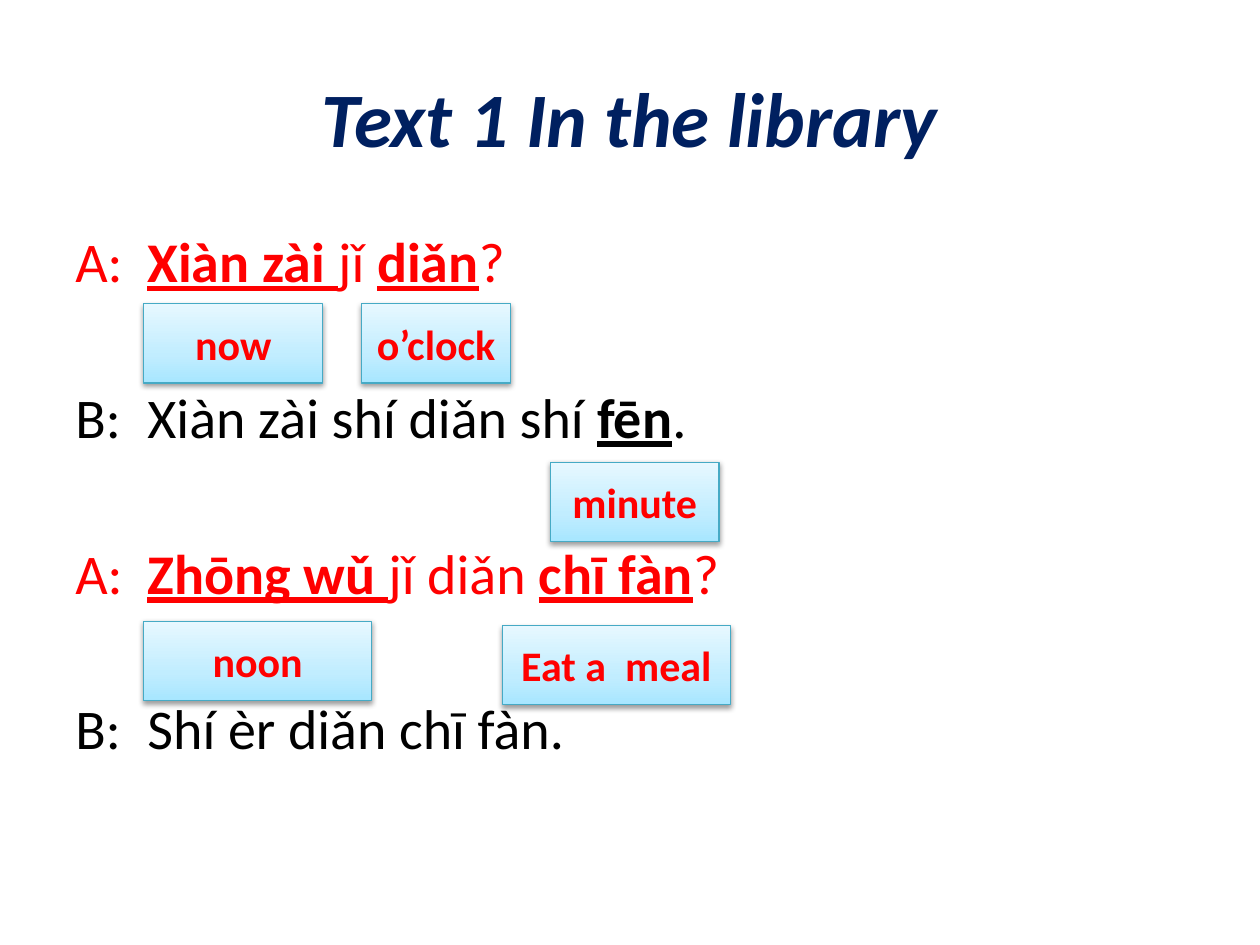
"""Build a dialogue slide with vocabulary labels under the new words."""
from lxml import etree
from pptx import Presentation
from pptx.dml.color import RGBColor
from pptx.enum.shapes import MSO_SHAPE
from pptx.enum.text import MSO_ANCHOR, PP_ALIGN
from pptx.oxml.ns import qn
from pptx.util import Pt

RECT = MSO_SHAPE.RECTANGLE
TOP, MIDDLE = MSO_ANCHOR.TOP, MSO_ANCHOR.MIDDLE
LEFT, CENTER = PP_ALIGN.LEFT, PP_ALIGN.CENTER

COLORS = {"title": "002060", "red": "FF0000", "black": "000000", "border": "46AAC5"}
GRADIENT = {0: "A7E6FF", 35: "C1EDFF", 100: "E7F8FF"}
LABEL_HEIGHT = 45.4
SPEAKER_INDENT = 41.2

DIALOGUE = [
    ("red", [("A:\t", False), ("Xiàn zài ", True), ("jǐ ", False), ("diǎn", True), ("?", False)]),
    ("black", [("B:\tXiàn zài shí diǎn shí ", False), ("fēn", True), (".", False)]),
    ("red", [("A:\t", False), ("Zhōng wǔ ", True), ("jǐ diǎn ", False), ("chī fàn", True), ("?", False)]),
    ("black", [("B:\tShí èr diǎn chī fàn.", False)]),
]
LABELS = [
    ("now", 82, 173.5, 102.5),
    ("o’clock", 206.7, 173.5, 85),
    ("minute", 314.5, 264.2, 96.5),
    ("noon", 82, 355, 130.5),
    ("Eat a  meal", 287, 357.4, 130.5),
]


def add_run(p, text, size=24, color="red", bold=False, italic=False, underline=False):
    """Append one formatted run to a paragraph."""
    r = p.add_run()
    r.text = text
    font = r.font
    font.name, font.size = "Calibri", Pt(size)
    font.bold, font.italic, font.underline = bold, italic, underline
    font.color.rgb = RGBColor.from_string(COLORS[color])


def add_color(parent, tag, position, value, alpha=None, **attrs):
    """Append a DrawingML element holding an RGB colour."""
    if position is not None:
        attrs["pos"] = str(position * 1000)
    node = etree.SubElement(parent, qn(tag), attrs)
    clr = etree.SubElement(node, qn("a:srgbClr"), val=value)
    if alpha is not None:
        etree.SubElement(clr, qn("a:alpha"), val=str(alpha * 1000))


class SlideBuilder:
    """Draw the elements of the current slide in one style."""

    def __init__(self, slide):
        self.s = slide

    def text_frame(self, x, y, w, h, anchor=TOP):
        """Add a wrapping text box and return its frame."""
        tf = self.s.shapes.add_textbox(Pt(x), Pt(y), Pt(w), Pt(h)).text_frame
        tf.word_wrap, tf.vertical_anchor = True, anchor
        return tf

    def title(self, text):
        """Add the centred slide title."""
        p = self.text_frame(36, 21.6, 648, 90, MIDDLE).paragraphs[0]
        p.alignment = CENTER
        add_run(p, text, size=44, color="title", bold=True, italic=True)

    def dialogue(self, lines):
        """Add the dialogue with room for labels between its lines."""
        tf = self.text_frame(36, 126, 648, 356.4)
        for i, (color, parts) in enumerate(lines):
            p = tf.add_paragraph() if i else tf.paragraphs[0]
            p.alignment = LEFT
            indent = Pt(SPEAKER_INDENT)
            pPr = p._p.get_or_add_pPr()
            pPr.set("marL", str(indent))
            pPr.set("indent", str(-indent))
            if i:
                p.space_before = Pt(50.6)
            for text, is_new in parts:
                add_run(p, text, size=32, color=color, bold=is_new, underline=is_new)

    def label(self, text, x, y, w):
        """Add a shaded label with a soft shadow."""
        sp = self.s.shapes.add_shape(RECT, Pt(x), Pt(y), Pt(w), Pt(LABEL_HEIGHT))
        sp.fill.gradient()
        sp.fill.gradient_angle = 90
        stops = sp._element.spPr.find(".//" + qn("a:gsLst"))
        for stop in list(stops):
            stops.remove(stop)
        for position, value in GRADIENT.items():
            add_color(stops, "a:gs", position, value)
        sp.line.color.rgb = RGBColor.from_string(COLORS["border"])
        sp.line.width = Pt(0.75)
        sp.shadow.inherit = False
        effects = sp._element.spPr.find(qn("a:effectLst"))
        add_color(effects, "a:outerShdw", None, COLORS["black"], alpha=38,
                  blurRad=str(Pt(3.1)), dist=str(Pt(1.6)), dir="5400000", rotWithShape="0")
        tf = sp.text_frame
        tf.word_wrap, tf.vertical_anchor = True, MIDDLE
        p = tf.paragraphs[0]
        p.alignment = CENTER
        add_run(p, text, bold=True)


def main():
    """Build and save the slide."""
    prs = Presentation()
    prs.slide_width, prs.slide_height = Pt(720), Pt(540)
    builder = SlideBuilder(prs.slides.add_slide(prs.slide_layouts[6]))
    builder.title("Text 1 In the library")
    builder.dialogue(DIALOGUE)
    for label in LABELS:
        builder.label(*label)
    prs.save("out.pptx")


if __name__ == "__main__":
    main()
